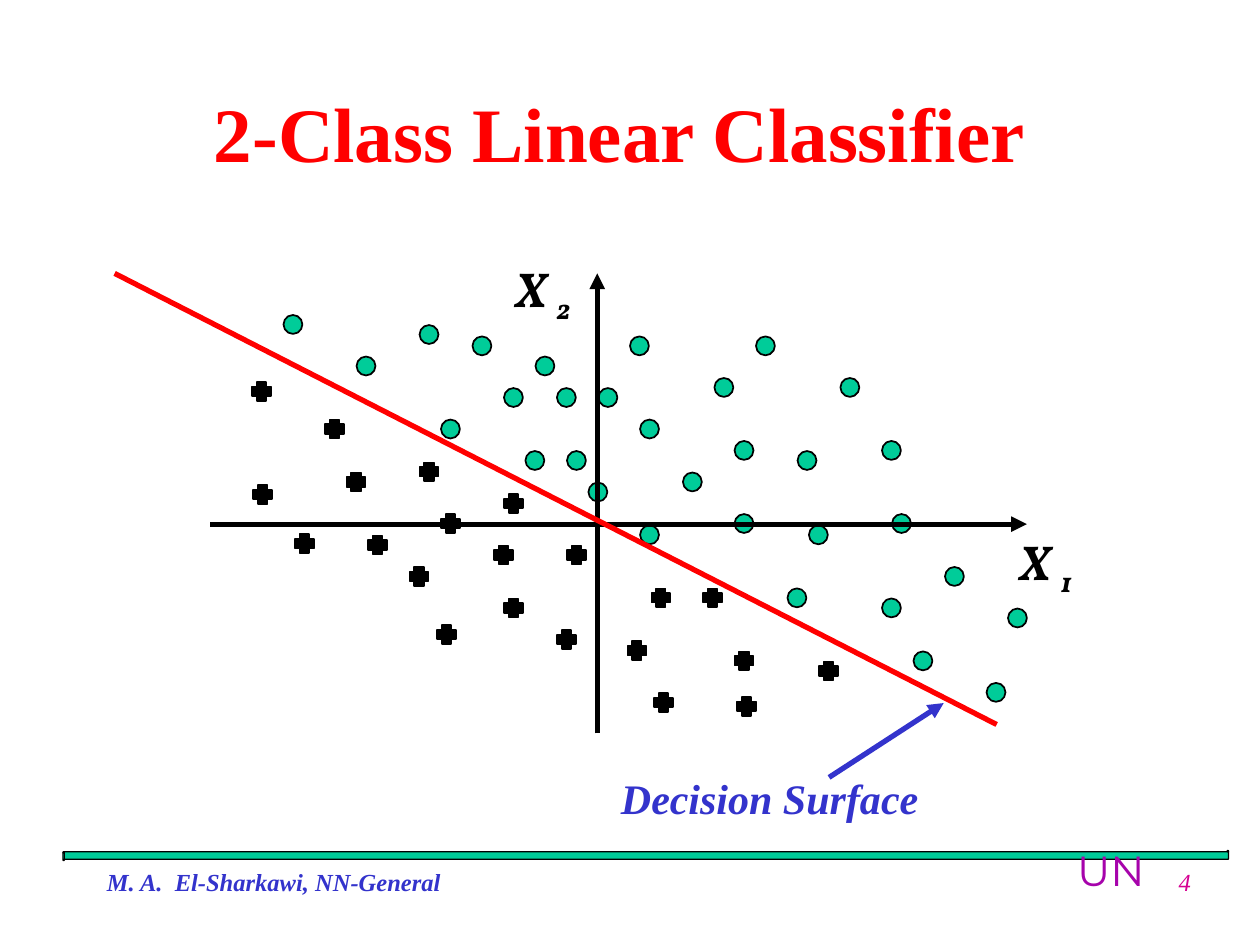
from lxml import etree
from pptx import Presentation
from pptx.dml.color import RGBColor
from pptx.enum import shapes, text
from pptx.oxml import ns
from pptx.util import Inches, Pt

RED = RGBColor(0xFF, 0x00, 0x00)
BLUE = RGBColor(0x33, 0x33, 0xCC)
GREEN = RGBColor(0x00, 0xCC, 0x99)
BLACK = RGBColor(0x00, 0x00, 0x00)
PURPLE = RGBColor(0xA6, 0x03, 0xAB)
MAGENTA = RGBColor(0xD6, 0x00, 0x93)
SERIF = "Times New Roman"

# Left and top of each sample, in inches
MARK_SIZE = 0.15
CLASS_CIRCLE = [
    (3.33, 2.58), (3.5, 3.33), (5, 2.67), (3.75, 2.67), (5.67, 3), (4.67, 3.83),
    (5.83, 3.5), (5.08, 4.17), (5.08, 3.33), (4.25, 2.83), (5.42, 3.75),
    (6.33, 3.58), (5.83, 4.08), (6.25, 4.67), (6.42, 4.17), (7, 3.5),
    (7.08, 4.08), (7.25, 5.17), (7.5, 4.5), (7, 4.75), (8, 4.83), (7.83, 5.42),
    (6, 2.67), (6.67, 3), (4, 3.08), (4.17, 3.58), (4.42, 3.08), (4.5, 3.58),
    (2.83, 2.83), (4.75, 3.08), (2.25, 2.5),
]
CLASS_PLUS = [
    (2.58, 3.33), (3.5, 4.08), (4, 3.92), (5.17, 4.67), (4.5, 4.33), (5.19, 5.5),
    (6.5, 5.25), (4, 4.75), (3.33, 3.67), (3.47, 4.96), (2.75, 3.75),
    (2.92, 4.25), (2.01, 3.85), (3.25, 4.5), (5.83, 5.17), (2.34, 4.24),
    (4.42, 5), (4.98, 5.09), (5.58, 4.67), (5.85, 5.53), (3.92, 4.33), (2, 3.03),
]
AXES = [((1.67, 4.16), (8.15, 4.16)), ((4.74, 5.82), (4.74, 2.17))]
AXIS_LABELS = [("1", (7.49, 4.17, 1.21, 0.63)), ("2", (3.49, 2, 1.21, 0.63))]
DECISION_LINE = ((0.91, 2.17), (7.91, 5.75))
DECISION_ARROW = ((6.58, 6.17), (7.49, 5.58))


def add_span(para, words, size, color, font=SERIF, bold=False, italic=False):
    span = para.add_run()
    span.text = words
    span.font.size = Pt(size)
    span.font.name = font
    span.font.bold = bold
    span.font.italic = italic
    span.font.color.rgb = color
    return span


def add_text(parent, words, at, wrap=True, align=text.PP_ALIGN.LEFT, **style):
    box = parent.shapes.add_textbox(*map(Inches, at))
    box.text_frame.word_wrap = wrap
    para = box.text_frame.paragraphs[0]
    para.alignment = align
    return para, add_span(para, words, **style)


def add_shape(parent, kind, at, fill, width=1.0):
    shape = parent.shapes.add_shape(kind, *map(Inches, at))
    shape.shadow.inherit = False
    shape.fill.solid()
    shape.fill.fore_color.rgb = fill
    shape.line.color.rgb = BLACK
    shape.line.width = Pt(width)
    return shape


def add_line(parent, ends, color, arrow=False):
    (x1, y1), (x2, y2) = ends
    line = parent.shapes.add_connector(
        shapes.MSO_CONNECTOR.STRAIGHT, Inches(x1), Inches(y1), Inches(x2), Inches(y2))
    line.line.color.rgb = color
    line.line.width = Pt(3)
    if arrow:
        etree.SubElement(line.line._get_or_add_ln(), ns.qn("a:tailEnd"), type="triangle")
    etree.SubElement(line._element.spPr, ns.qn("a:effectLst"))


def add_samples(page, kind, places, fill, adjustment=None):
    group = page.shapes.add_group_shape()
    for left, top in places:
        mark = add_shape(group, kind, (left, top, MARK_SIZE, MARK_SIZE), fill)
        if adjustment is not None:
            mark.adjustments[0] = adjustment


def add_axes(page):
    group = page.shapes.add_group_shape()
    for ends in AXES:
        add_line(group, ends, BLACK, arrow=True)
    style = dict(size=28, color=BLACK, font="Vollkorn", bold=True, italic=True)
    for index, at in AXIS_LABELS:
        para, _ = add_text(group, "X ", at, wrap=False, **style)
        para.space_before = Pt(7)
        props = para._p.get_or_add_pPr()
        props.set("marL", str(Inches(0.5)))
        props.set("indent", "0")
        subscript = add_span(para, index, **style)
        subscript._r.get_or_add_rPr().set("baseline", "-25000")


def add_footer(page):
    add_shape(page, shapes.MSO_SHAPE.HORIZONTAL_SCROLL, (0.5, 6.75, 9.25, 0.08), GREEN, 0.75)
    _, mark = add_text(page, "UN", (8.45, 6.65, 0.8, 0.35), wrap=False,
                       size=24, color=PURPLE, font="Montserrat")
    outline = etree.Element(ns.qn("a:ln"), w=str(Pt(1)))
    fill = etree.SubElement(outline, ns.qn("a:solidFill"))
    etree.SubElement(fill, ns.qn("a:srgbClr"), val="EAEAEA")
    mark._r.get_or_add_rPr().insert(0, outline)
    add_text(page, "M. A.  El-Sharkawi, NN-General", (0.75, 6.83, 5.83, 0.5),
             size=14, color=BLUE, bold=True, italic=True)
    add_text(page, "4", (7.17, 6.83, 2.38, 0.5), align=text.PP_ALIGN.RIGHT,
             size=14, color=MAGENTA, italic=True)


def add_title(page, words):
    title = page.shapes.title
    title.left, title.top, title.width, title.height = map(Inches, (0.67, 0.42, 8.5, 1.25))
    title.text_frame.word_wrap = True
    title.text_frame.vertical_anchor = text.MSO_ANCHOR.MIDDLE
    para = title.text_frame.paragraphs[0]
    para.alignment = text.PP_ALIGN.CENTER
    add_span(para, words, size=44, color=RED, bold=True)


def main():
    deck = Presentation()
    deck.slide_width, deck.slide_height = Inches(10), Inches(7.5)
    page = deck.slides.add_slide(deck.slide_layouts[5])
    add_title(page, "2-Class Linear Classifier")
    add_footer(page)
    add_samples(page, shapes.MSO_SHAPE.OVAL, CLASS_CIRCLE, GREEN)
    add_samples(page, shapes.MSO_SHAPE.CROSS, CLASS_PLUS, BLACK, adjustment=0.25)
    add_axes(page)
    add_line(page, DECISION_LINE, RED)
    callout = page.shapes.add_group_shape()
    add_text(callout, "Decision Surface", (4.83, 6.08, 2.56, 0.5), wrap=False,
             size=24, color=BLUE, bold=True, italic=True)
    add_line(callout, DECISION_ARROW, BLUE, arrow=True)
    deck.save("out.pptx")


if __name__ == "__main__":
    main()
